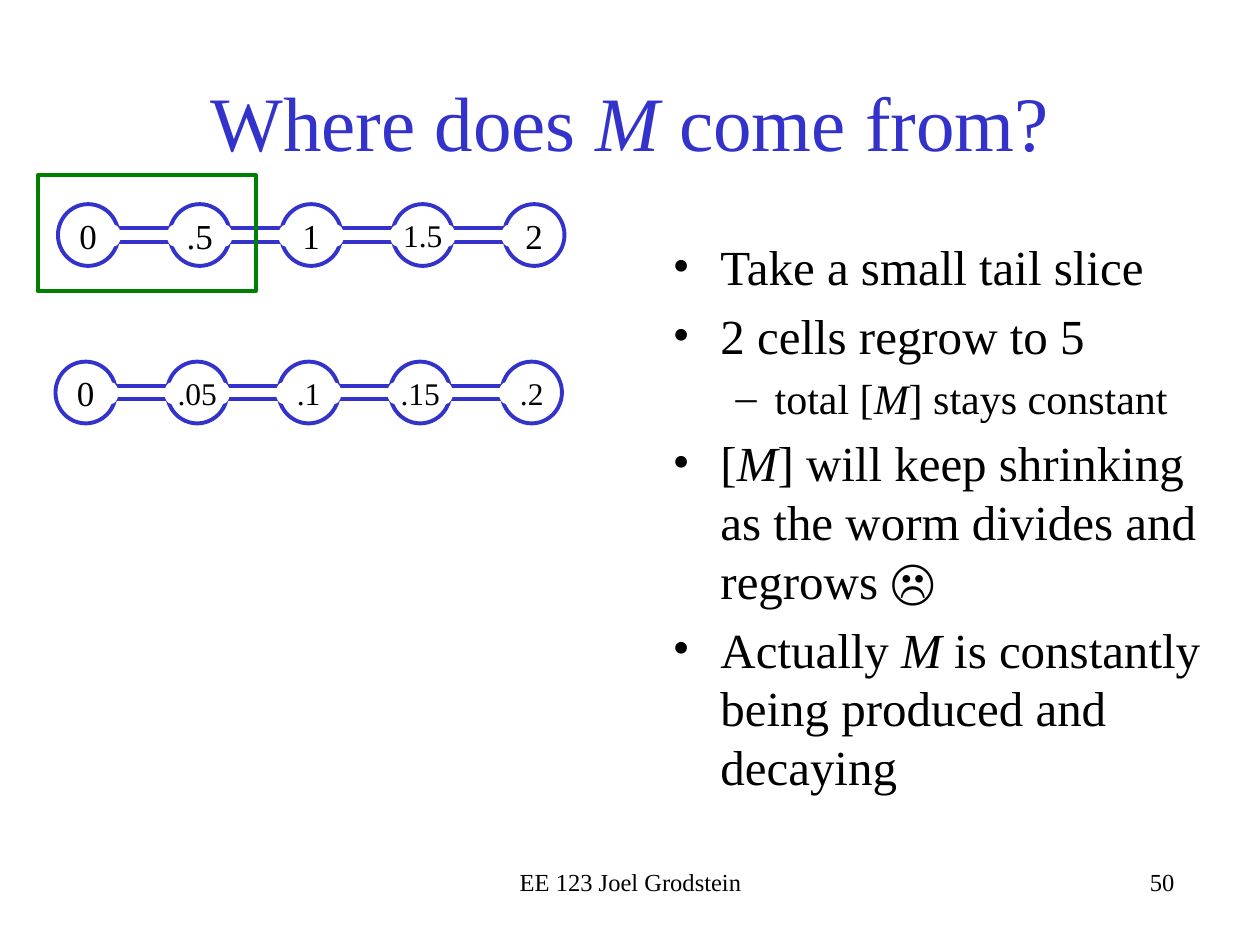
from dataclasses import dataclass

from lxml.etree import SubElement
from pptx import Presentation
from pptx.dml.color import RGBColor
from pptx.enum.shapes import MSO_SHAPE
from pptx.enum.text import MSO_ANCHOR, PP_ALIGN
from pptx.oxml.ns import qn
from pptx.util import Inches, Pt


@dataclass(frozen=True)
class Theme:
    font: str = "Times New Roman"
    ink: RGBColor = RGBColor(0x00, 0x00, 0x00)
    paper: RGBColor = RGBColor(0xFF, 0xFF, 0xFF)
    blue: RGBColor = RGBColor(0x33, 0x33, 0xCC)
    green: RGBColor = RGBColor(0x00, 0x80, 0x00)
    title: int = 44
    bullet: int = 28
    sub_bullet: int = 24
    cell: int = 20
    small_cell: int = 18
    footer: int = 14
    outline: float = 2.25


THEME = Theme()
CELL_PITCH = 0.885
CELL_WIDTH = 0.48
CELL_HEIGHT = 0.49
BULLETS = [
    (0, "Take a small tail slice"),
    (0, "2 cells regrow to 5"),
    (1, "total [*M*] stays constant"),
    (0, "[*M*] will keep shrinking as the worm divides and regrows ☹"),
    (0, "Actually *M* is constantly being produced and decaying"),
]
# Per level: bullet character, text indent, hanging indent, type size
LEVELS = [
    ("•", 0.38, 0.38, THEME.bullet),
    ("–", 0.81, 0.31, THEME.sub_bullet),
]


def write(paragraph, text, size, color=THEME.ink, align=PP_ALIGN.LEFT):
    """Fill a paragraph; parts between asterisks become italic."""
    paragraph.alignment = align
    for index, part in enumerate(text.split("*")):
        run = paragraph.add_run()
        run.text = part
        run.font.name = THEME.font
        run.font.size = Pt(size)
        run.font.color.rgb = color
        run.font.italic = index % 2 == 1


def add_text_box(shapes, left, top, width, height):
    frame = shapes.add_textbox(
        Inches(left), Inches(top), Inches(width), Inches(height)).text_frame
    frame.word_wrap = True
    return frame


def add_outline(shapes, kind, left, top, width, height, fill=None, line=None):
    shape = shapes.add_shape(
        kind, Inches(left), Inches(top), Inches(width), Inches(height))
    shape.shadow.inherit = False
    if fill is None:
        shape.fill.background()
    else:
        shape.fill.solid()
        shape.fill.fore_color.rgb = fill
    if line is None:
        shape.line.fill.background()
    else:
        shape.line.color.rgb = line
        shape.line.width = Pt(THEME.outline)


def add_label(shapes, left, top, label, size):
    frame = add_text_box(shapes, left, top, CELL_WIDTH, CELL_HEIGHT)
    frame.margin_left = frame.margin_right = 0
    frame.margin_top = frame.margin_bottom = 0
    frame.vertical_anchor = MSO_ANCHOR.MIDDLE
    write(frame.paragraphs[0], label, size, align=PP_ALIGN.CENTER)


def add_junction(shapes, left, top):
    """Join the cell at left to the next one, opening both cell walls."""
    add_outline(shapes, MSO_SHAPE.RECTANGLE, left + 0.42, top + 0.19, 0.52, 0.11,
                fill=THEME.paper, line=THEME.blue)
    for opening in (left + 0.37, left + CELL_PITCH - 0.02):
        add_outline(shapes, MSO_SHAPE.OVAL, opening, top + 0.16, 0.13, 0.18,
                    fill=THEME.paper)


def add_worm(shapes, left, top, cells):
    """Draw the walls, then the junctions, then the labels above both."""
    lefts = [left + index * CELL_PITCH for index in range(len(cells))]
    for cell_left in lefts:
        add_outline(shapes, MSO_SHAPE.OVAL, cell_left, top,
                    CELL_WIDTH, CELL_HEIGHT, line=THEME.blue)
    for cell_left in lefts[:-1]:
        add_junction(shapes, cell_left, top)
    for cell_left, (label, size) in zip(lefts, cells):
        add_label(shapes, cell_left, top, label, size)


def add_title(slide, text):
    title = slide.shapes.title
    title.left, title.top = Inches(0.75), Inches(0.33)
    title.width, title.height = Inches(8.5), Inches(1.25)
    title.text_frame.vertical_anchor = MSO_ANCHOR.MIDDLE
    write(title.text_frame.paragraphs[0], text, THEME.title,
          color=THEME.blue, align=PP_ALIGN.CENTER)


def add_bullets(slide, bullets):
    frame = add_text_box(slide.shapes, 5.24, 1.83, 4.46, 4.64)
    for index, (level, text) in enumerate(bullets):
        mark, indent, hanging, size = LEVELS[level]
        paragraph = frame.paragraphs[0] if index == 0 else frame.add_paragraph()
        paragraph.level = level
        if index:
            paragraph.space_before = Pt(0.2 * size)
        properties = paragraph._p.get_or_add_pPr()
        properties.set("marL", str(Inches(indent)))
        properties.set("indent", str(-Inches(hanging)))
        SubElement(properties, qn("a:buFont"), typeface=THEME.font)
        SubElement(properties, qn("a:buChar"), char=mark)
        write(paragraph, text, size)


def add_footer(slide, text, number):
    number_frame = add_text_box(slide.shapes, 6.25, 6.83, 3.17, 0.5)
    write(number_frame.paragraphs[0], number, THEME.footer, align=PP_ALIGN.RIGHT)
    course_frame = add_text_box(slide.shapes, 3.42, 6.83, 3.17, 0.34)
    write(course_frame.paragraphs[0], text, THEME.footer, align=PP_ALIGN.CENTER)


def main():
    presentation = Presentation()
    presentation.slide_width = Inches(10)
    presentation.slide_height = Inches(7.5)
    slide = presentation.slides.add_slide(presentation.slide_layouts[5])

    add_title(slide, "Where does *M* come from?")
    add_bullets(slide, BULLETS)
    add_footer(slide, "EE 123 Joel Grodstein", "50")

    big, small = THEME.cell, THEME.small_cell
    add_worm(slide.shapes, 0.46, 1.62,
             [("0", big), (".5", big), ("1", big), ("1.5", small), ("2", big)])
    add_outline(slide.shapes, MSO_SHAPE.RECTANGLE, 0.3, 1.39, 1.73, 0.92,
                line=THEME.green)
    add_worm(slide.shapes.add_group_shape().shapes, 0.44, 2.87,
             [("0", big), (".05", small), (".1", small), (".15", small), (".2", small)])

    presentation.save("out.pptx")


if __name__ == "__main__":
    main()
